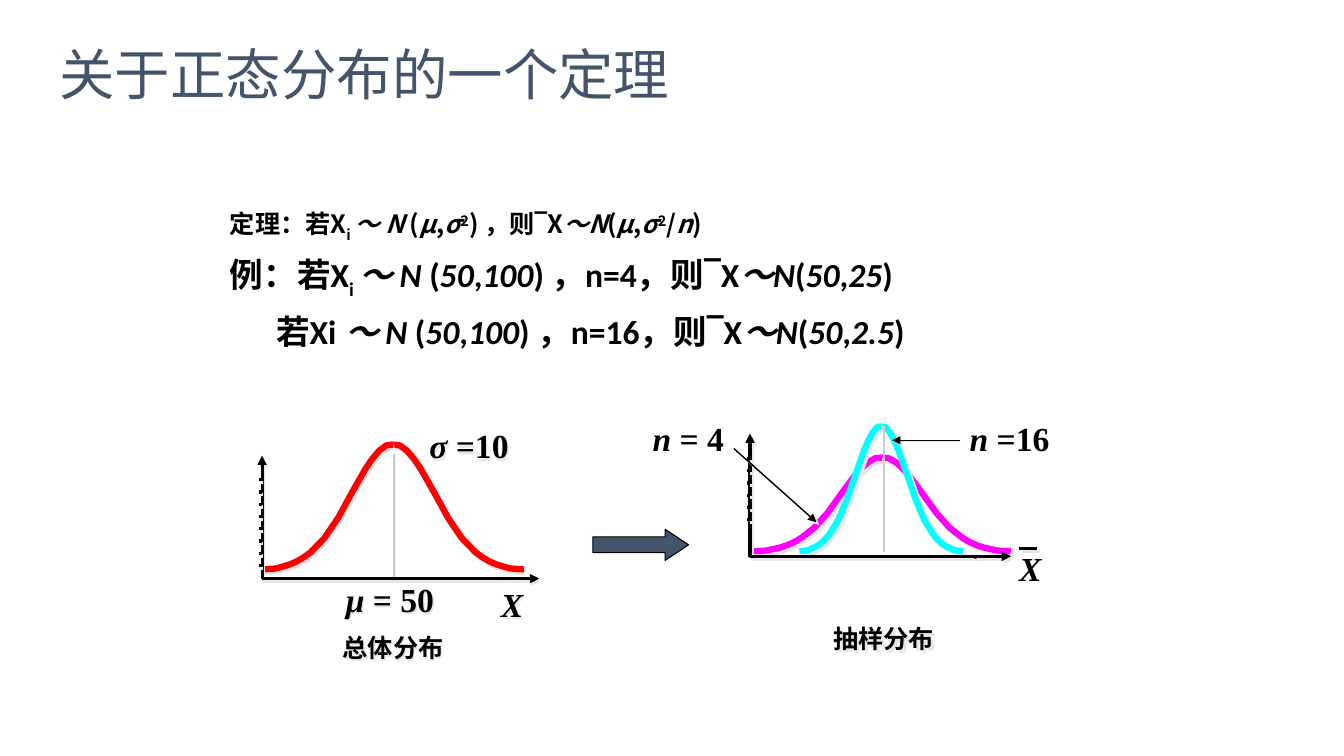
from lxml import etree
from pptx import Presentation
from pptx.dml.color import RGBColor
from pptx.enum import shapes, text
from pptx.oxml.ns import qn
from pptx.util import Pt

BLACK = RGBColor(0, 0, 0)
WHITE = RGBColor(255, 255, 255)
SLATE = RGBColor(0x44, 0x54, 0x6A)
GRAY = RGBColor(0xCD, 0xCD, 0xCD)
SHADE = RGBColor(0xE7, 0xE6, 0xE6)
RED = RGBColor(255, 0, 0)
MAGENTA = RGBColor(255, 0, 255)
CYAN = RGBColor(0, 255, 255)
HAN, SERIF = "Noto Sans CJK SC", "Times New Roman"

TITLE = "关于正态分布的一个定理"
THEOREM = [
    (18, HAN, 0, [("定理：若X", ""), ("i ", "sub"), ("～ N", "i"), (" (", ""), ("μ", "i"), (",", ""),
                  ("σ", "i"), ("2", "sup"), (") ，则‾X", ""), ("～N", "i"), ("(", ""), ("μ", "i"),
                  (",", ""), ("σ", "i"), ("2", "sup"), ("/", ""), ("n", "i"), (")", "")]),
    (24, "Calibri", 0, [("例：若X", ""), ("i ", "sub"), ("～ N", "i"), (" (", ""), ("50", "i"),
                        (",", ""), ("100", "i"), (") ，n=4，则‾X", ""), ("～N", "i"), ("(", ""),
                        ("50", "i"), (",", ""), ("25", "i"), (")", "")]),
    (24, "Calibri", 33, [("若Xi ", ""), ("～ N", "i"), (" (", ""), ("50", "i"), (",", ""),
                         ("100", "i"), (") ，n=16，则‾X", ""), ("～N", "i"), ("(", ""), ("50", "i"),
                         (",", ""), ("2.5", "i"), (")", "")]),
]
BASELINES = {"sub": "-25000", "sup": "30000"}

PROFILE_X = [0, 2, 3, 4, 5, 6, 7, 9, 11, 13, 14, 15, 16, 17, 18, 19]
PROFILE_Y = [0, 1, 3, 5, 8, 12, 17, 31, 51, 76, 88, 100, 110, 118, 123, 124]

CHARTS = [
    dict(shadow=(2.2, 63), axis=(187.2, 325.4, 385.2, 413.3),
         y_ticks=(342.7, 8.75, 8), x_ticks=(205.9, 18.72, 9),
         curves=[(RED, 280.8, 406.8, 93.4, 89.3)],
         mean=(281.5, 324, 414, True),
         labels=[((247, 413.3, 64, 28.8), "tight", [("μ ", "i"), ("= 50", "")], True),
                 ((306.7, 303.8, 58.3, 28.8), "tight", [("σ", "i"), (" =10", "")], True),
                 ((357.8, 416.9, 15.8, 28.8), "tight", [("X", "i")], True),
                 ((208.8, 447.8, 144, 28.8), "caption", [("总体分布", "")], True)]),
    dict(shadow=(2.8, 45), axis=(535.7, 309.6, 722.2, 397.4),
         y_ticks=(327.6, 8.7, 6), x_ticks=(554.4, 18.63, 9),
         curves=[(MAGENTA, 630, 393.8, 92, 67), (CYAN, 629.5, 393.8, 58.5, 89.3)],
         mean=(631.4, 304.6, 394.6, False),
         labels=[((421.2, 298, 103, 33), "right", [("n", "i"), (" = 4", "")], False),
                 ((553, 442, 156.2, 28.8), "caption", [("抽样分布", "")], True),
                 ((727.9, 391.7, 15.8, 28.8), "tight", [("X", "i")], False),
                 ((685.5, 298, 114.5, 33), "left", [("n", "i"), (" =16", "")], False)]),
]
LABEL_STYLES = {
    "tight": dict(size=24, inset=(0, 0), wrap=False, alignment=text.PP_ALIGN.LEFT, spacing=1.0),
    "caption": dict(size=18, inset=(7.2, 3.6), wrap=True, alignment=text.PP_ALIGN.CENTER, spacing=1.0),
    "right": dict(size=24, inset=(7.2, 3.6), wrap=True, alignment=text.PP_ALIGN.RIGHT, spacing=0.9),
    "left": dict(size=24, inset=(7.2, 3.6), wrap=True, alignment=text.PP_ALIGN.LEFT, spacing=0.9),
}


def apply(target, values):
    for name, value in values.items():
        setattr(target, name, value)


def place(shape, left, top, width, height):
    apply(shape, dict(left=Pt(left), top=Pt(top), width=Pt(width), height=Pt(height)))


def add_run(paragraph, words, style, size, face, color, bold=True):
    run = paragraph.add_run()
    run.text = words
    apply(run.font, dict(size=Pt(size), name=face, bold=bold, italic=style == "i"))
    run.font.color.rgb = color
    properties = run.font._element
    etree.SubElement(properties, qn("a:ea"), typeface=HAN)
    if style in BASELINES:
        properties.set("baseline", BASELINES[style])


def set_shadow(shape, shadow):
    properties = shape._element.spPr
    for old in properties.findall(qn("a:effectLst")):
        properties.remove(old)
    effects = etree.SubElement(properties, qn("a:effectLst"))
    if shadow:
        distance, angle = shadow
        outer = etree.SubElement(effects, qn("a:outerShdw"), blurRad="0", dist=str(Pt(distance)),
                                 dir=str(angle * 60000), algn="ctr", rotWithShape="0")
        etree.SubElement(outer, qn("a:srgbClr"), val=str(SHADE))


def set_line(shape, color, width, shadow, ends=()):
    shape.line.color.rgb = color
    shape.line.width = Pt(width)
    for end in ends:
        etree.SubElement(shape.line._get_or_add_ln(), qn("a:" + end), type="triangle")
    set_shadow(shape, shadow)


def add_line(group, start, finish, color, width, shadow, ends=()):
    connector = group.shapes.add_connector(shapes.MSO_CONNECTOR.STRAIGHT, *map(Pt, start + finish))
    set_line(connector, color, width, shadow, ends)
    return connector


def add_path(group, points, color, width, shadow, ends=()):
    corners = [(Pt(x), Pt(y)) for x, y in points]
    builder = group.shapes.build_freeform(*corners[0])
    builder.add_line_segments(corners[1:], close=False)
    outline = builder.convert_to_shape()
    outline.fill.background()
    set_line(outline, color, width, shadow, ends)


def add_label(group, box, style_name, runs, shadow):
    style = LABEL_STYLES[style_name]
    label = group.shapes.add_textbox(*map(Pt, box))
    side, edge = map(Pt, style["inset"])
    apply(label.text_frame, dict(margin_left=side, margin_right=side, margin_top=edge,
                                 margin_bottom=edge, word_wrap=style["wrap"],
                                 auto_size=text.MSO_AUTO_SIZE.SHAPE_TO_FIT_TEXT))
    paragraph = label.text_frame.paragraphs[0]
    apply(paragraph, dict(alignment=style["alignment"], line_spacing=style["spacing"]))
    for words, run_style in runs:
        add_run(paragraph, words, run_style, style["size"], SERIF, BLACK)
    if shadow:
        set_shadow(label, shadow)
    return label


def add_chart_drawing(slide, chart):
    group = slide.shapes.add_group_shape()
    shadow = chart["shadow"]
    left, top, right, bottom = chart["axis"]
    x, y1, y2, shaded = chart["mean"]
    add_line(group, (x, y1), (x, y2), GRAY, 1, shadow if shaded else None)
    for color, center, base, half_width, height in chart["curves"]:
        for side in (1, -1):
            points = [(center + side * half_width * (1 - px / 19), base - height * py / 124)
                      for px, py in zip(PROFILE_X, PROFILE_Y)]
            add_path(group, points, color, 4.5, shadow)
    if not shaded:
        add_line(group, (x, y1), (x, y2), GRAY, 1, None)
    add_path(group, [(left, top), (left, bottom), (right, bottom)], BLACK, 2.25, shadow,
             ("headEnd", "tailEnd"))
    first, step, count = chart["y_ticks"]
    for index in range(count):
        y = first + step * index
        add_line(group, (left - 2.2, y), (left, y), BLACK, 2.25, shadow)
    first, step, count = chart["x_ticks"]
    for index in range(count):
        x = first + step * index
        add_line(group, (x, bottom), (x, bottom + 0.7), BLACK, 2.25, shadow)
    labels = [add_label(group, box, style, runs, shadow if shade else None)
              for box, style, runs, shade in chart["labels"]]
    return group, labels


def main():
    presentation = Presentation()
    apply(presentation, dict(slide_width=Pt(960), slide_height=Pt(540)))
    slide = presentation.slides.add_slide(presentation.slide_layouts[1])

    title = slide.shapes.title
    place(title, 35.3, 30.2, 527.8, 50.4)
    title.fill.solid()
    title.fill.fore_color.rgb = WHITE
    apply(title.text_frame, dict(vertical_anchor=text.MSO_ANCHOR.MIDDLE, word_wrap=True,
                                 auto_size=text.MSO_AUTO_SIZE.NONE))
    heading = title.text_frame.paragraphs[0]
    apply(heading, dict(alignment=text.PP_ALIGN.LEFT, line_spacing=0.9))
    add_run(heading, TITLE, "", 39.6, "Arial", SLATE, bold=False)

    body = slide.placeholders[1]
    place(body, 157, 145.4, 648, 242.6)
    apply(body.text_frame, dict(word_wrap=True, auto_size=text.MSO_AUTO_SIZE.NONE))
    for index, (size, face, indent, runs) in enumerate(THEOREM):
        paragraph = body.text_frame.add_paragraph() if index else body.text_frame.paragraphs[0]
        properties = paragraph._p.get_or_add_pPr()
        properties.set("marL", str(Pt(indent)))
        properties.set("indent", "0")
        etree.SubElement(properties, qn("a:buNone"))
        apply(paragraph, dict(space_before=Pt(8 if index else 0), line_spacing=1.0))
        for words, style in runs:
            add_run(paragraph, words, style, size, face, BLACK)

    add_chart_drawing(slide, CHARTS[0])
    sampling, labels = add_chart_drawing(slide, CHARTS[1])
    shadow = CHARTS[1]["shadow"]
    add_line(sampling, (727.9, 391.7), (740.9, 391.7), BLACK, 2.25, shadow)
    add_line(sampling, (695.5, 397.4), (697.7, 398.2), BLACK, 2.25, shadow)
    add_line(sampling, (524.2, 320.4), (583.2, 373), BLACK, 1, shadow, ("tailEnd",))
    pointer = add_line(sampling, (685.5, 314.5), (637.2, 314.5), BLACK, 1, (1.4, 45), ("tailEnd",))
    pointer.begin_connect(labels[3], 1)

    arrow = slide.shapes.add_shape(shapes.MSO_SHAPE.RIGHT_ARROW, *map(Pt, (423.4, 378, 68.4, 22.3)))
    arrow.adjustments[1] = 0.75
    arrow.fill.solid()
    arrow.fill.fore_color.rgb = SLATE
    set_line(arrow, BLACK, 0.75, None)

    presentation.save("out.pptx")


if __name__ == "__main__":
    main()
